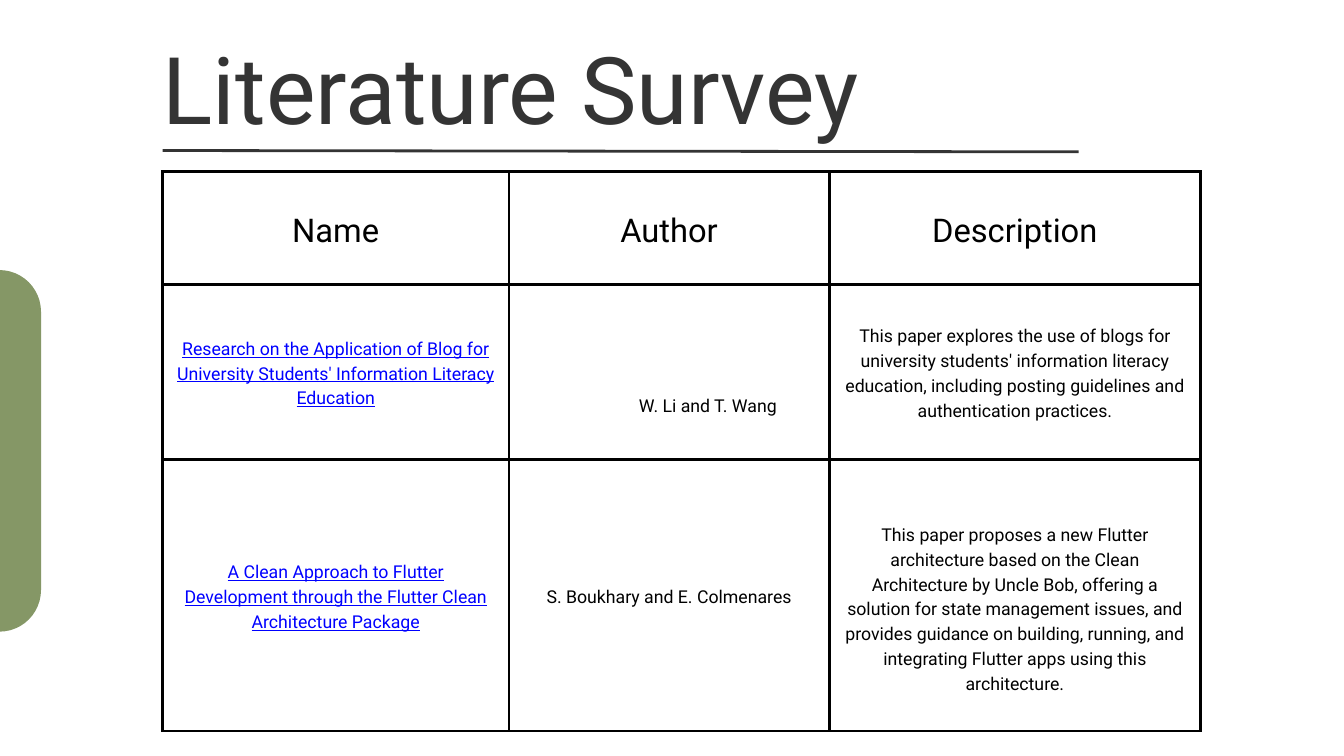
from lxml.etree import SubElement
from pptx import Presentation
from pptx.dml.color import RGBColor
from pptx.enum.shapes import MSO_CONNECTOR, MSO_SHAPE
from pptx.enum.text import MSO_ANCHOR, MSO_AUTO_SIZE, PP_ALIGN
from pptx.oxml.ns import qn
from pptx.util import Cm, Pt

COLUMNS = [13.08, 12.12, 14.02]
ROWS = [4.27, 6.63, 10.26]
HEADINGS = ["Name", "Author", "Description"]
PAPERS = [
    ["Research on the Application of Blog for University Students' "
     "Information Literacy Education",
     "",  # this author stands in a label of its own
     "This paper explores the use of blogs for university students' information "
     "literacy education, including posting guidelines and authentication practices."],
    ["A Clean Approach to Flutter Development through the Flutter Clean "
     "Architecture Package",
     "S. Boukhary and E. Colmenares",
     "This paper proposes a new Flutter architecture based on the Clean Architecture "
     "by Uncle Bob, offering a solution for state management issues, and provides "
     "guidance on building, running, and integrating Flutter apps using this "
     "architecture."],
]


def color(value):
    return RGBColor.from_string(value)


def write(frame, text, *, size=19, spacing=26.6, ink="000000",
          align=PP_ALIGN.CENTER, underline=False):
    paragraph = frame.paragraphs[0]
    paragraph.alignment = align
    paragraph.line_spacing = Pt(spacing)
    run = paragraph.add_run()
    run.text = text
    run.font.name = "Roboto"
    run.font.size = Pt(size)
    run.font.color.rgb = color(ink)
    run.font.underline = underline


class SurveySlide:
    dark, green, link, border = "343434", "859766", "0000FF", "000000"
    padding = 0.53
    line_width = 3

    def __init__(self, deck):
        self.slide = deck.slides.add_slide(deck.slide_layouts[5])
        self.shapes = self.slide.shapes

    def clear_frame(self, shape):
        frame = shape.text_frame
        frame.word_wrap = True
        frame.auto_size = MSO_AUTO_SIZE.SHAPE_TO_FIT_TEXT
        frame.vertical_anchor = MSO_ANCHOR.TOP
        frame.margin_left = frame.margin_right = 0
        frame.margin_top = frame.margin_bottom = 0
        return frame

    def title(self, text, left, top, width, height):
        title = self.shapes.title
        title.left, title.top = Cm(left), Cm(top)
        title.width, title.height = Cm(width), Cm(height)
        write(self.clear_frame(title), text, size=100, spacing=100,
              ink=self.dark, align=PP_ALIGN.LEFT)

    def label(self, text, left, top, width, height):
        label = self.shapes.add_textbox(Cm(left), Cm(top), Cm(width), Cm(height))
        write(self.clear_frame(label), text)

    def side_tab(self, left, top, width, height):
        tab = self.shapes.add_shape(MSO_SHAPE.ROUNDED_RECTANGLE,
                                    Cm(left), Cm(top), Cm(width), Cm(height))
        tab.adjustments[0] = 0.5
        tab.shadow.inherit = False
        tab.fill.solid()
        tab.fill.fore_color.rgb = color(self.green)
        tab.line.fill.background()

    def rule(self, x1, y1, x2, y2):
        rule = self.shapes.add_connector(MSO_CONNECTOR.STRAIGHT,
                                         Cm(x1), Cm(y1), Cm(x2), Cm(y2))
        rule.line.color.rgb = color(self.dark)
        rule.line.width = Pt(self.line_width)
        SubElement(rule._element.spPr, qn("a:effectLst"))

    def cell_style(self, cell):
        properties = cell._tc.get_or_add_tcPr()
        for side in ("a:lnL", "a:lnR", "a:lnT", "a:lnB"):
            edge = SubElement(properties, qn(side), w=str(Pt(self.line_width)))
            fill = SubElement(edge, qn("a:solidFill"))
            SubElement(fill, qn("a:srgbClr"), val=self.border)
        cell.fill.background()
        cell.vertical_anchor = MSO_ANCHOR.MIDDLE
        cell.margin_left = cell.margin_right = Cm(self.padding)
        cell.margin_top = cell.margin_bottom = Cm(self.padding)

    def survey_table(self, left, top):
        table = self.shapes.add_table(len(ROWS), len(COLUMNS), Cm(left), Cm(top),
                                      Cm(sum(COLUMNS)), Cm(sum(ROWS))).table
        table.first_row = table.horz_banding = False
        for column, width in zip(table.columns, COLUMNS):
            column.width = Cm(width)
        for row, height in zip(table.rows, ROWS):
            row.height = Cm(height)
        for r, texts in enumerate([HEADINGS, *PAPERS]):
            for c, text in enumerate(texts):
                cell = table.cell(r, c)
                self.cell_style(cell)
                if not text:
                    continue
                if r == 0:
                    write(cell.text_frame, text, size=35, spacing=49)
                elif c == 0:
                    write(cell.text_frame, text, ink=self.link, underline=True)
                else:
                    write(cell.text_frame, text)
        # The long last description sits one line lower
        table.cell(2, 2).margin_top = Cm(self.padding) + Pt(26.6)


def main():
    deck = Presentation()
    deck.slide_width, deck.slide_height = Cm(50.8), Cm(28.58)
    survey = SurveySlide(deck)

    # Decoration and heading
    survey.side_tab(-1.6, 10.21, 3.15, 13.67)
    survey.title("Literature Survey", 6.15, 1.9, 38.48, 3.84)
    survey.rule(6.15, 5.69, 40.77, 5.74)

    # Papers
    survey.survey_table(6.15, 6.48)
    survey.label("W. Li and T. Wang", 23.72, 14.81, 6.07, 0.91)

    deck.save("out.pptx")


if __name__ == "__main__":
    main()
